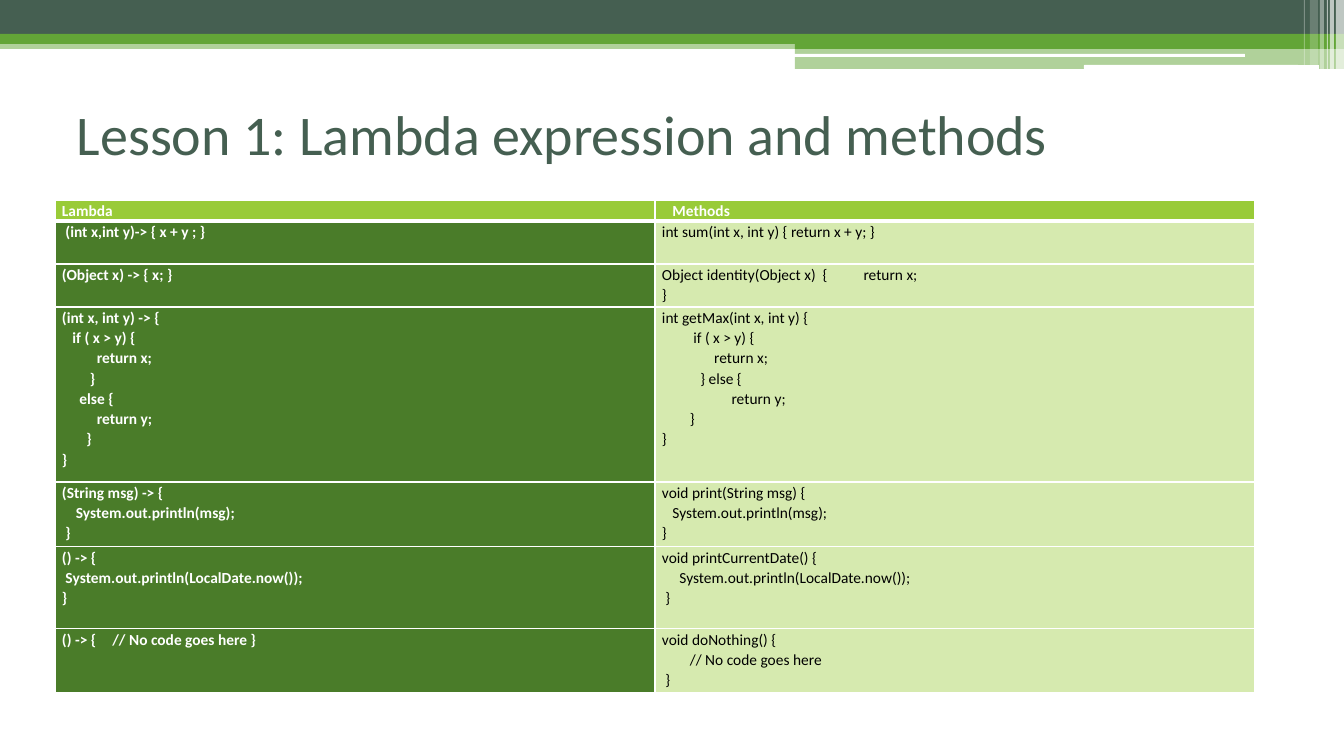
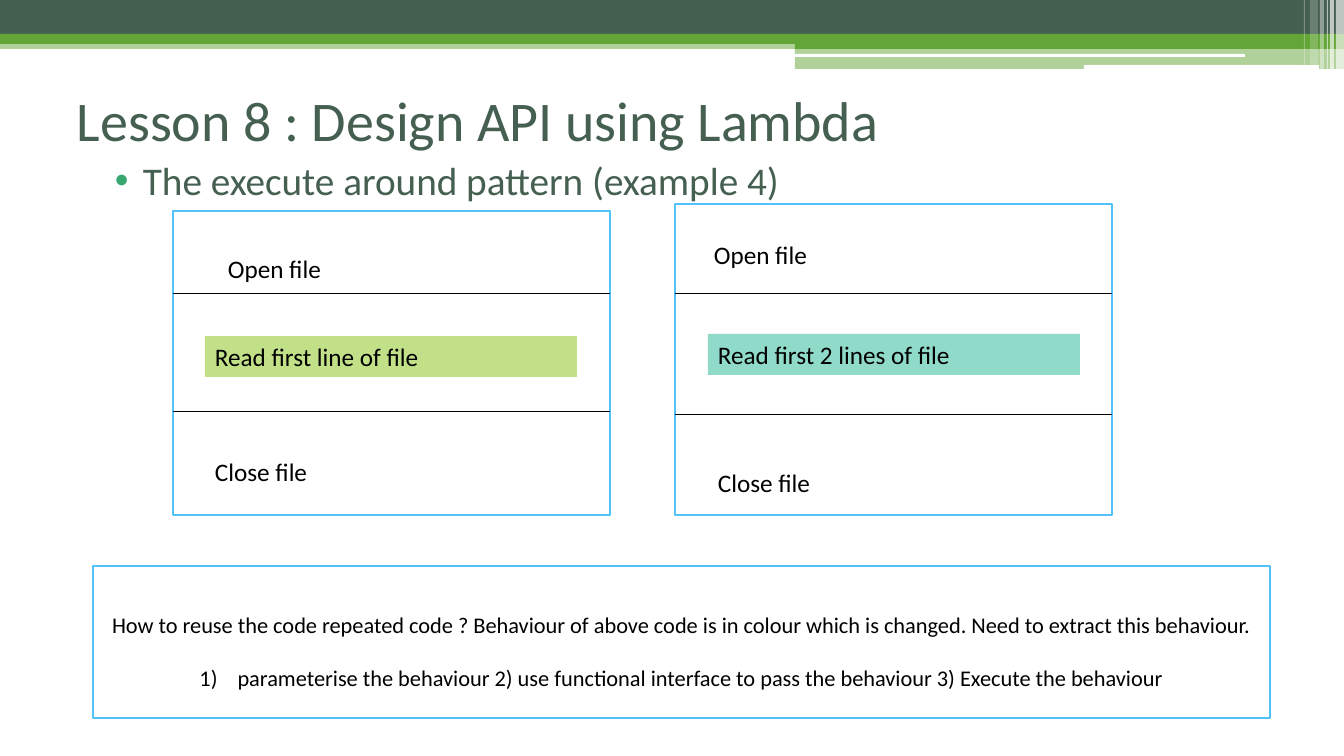
import lxml.etree
import pptx
import pptx.dml.color
import pptx.enum.shapes
import pptx.enum.text
import pptx.oxml.ns
import pptx.util

SCALE = 12192000 / 1344
SHAPE = pptx.enum.shapes.MSO_SHAPE
ALIGN = pptx.enum.text.PP_ALIGN
ANCHOR = pptx.enum.text.MSO_ANCHOR
FONT = "Calibri"
DARK, GREEN, WHITE, BLACK = "455F51", "63A537", "FFFFFF", "000000"
BLUE, MINT, LIME, TEAL = "51C3F9", "37A76F", "C2E088", "8FDAC8"
HEAD, LEFT, RIGHT = "99CB38", "4A7C29", "D6EAAF"
SPACE = 3.48  # width in pixels of one space of code

# left, top, width, height, colour, opacity in percent
BANDS = [
    (0, 40, 1344, 9, GREEN, 50),
    (0, 0, 1344, 34, DARK, 100),
    (0, 34, 1344, 10, GREEN, 100),
    (795, 39, 549, 10, GREEN, 100),
    (795, 49, 549, 20, GREEN, 50),
]
SLOTS = [(794, 54, 451, 3), (1084, 65, 235, 4)]
# left, width, height, opacity in percent
BARS = [
    (1336, 8, 69, 65), (1330, 4, 69, 65), (1327, 1, 69, 60),
    (1320, 4, 69, 40), (1310, 8, 65, 20), (1304, 1, 65, 30),
]

# row height, lambda, method; a tab goes to the stop of its column
CODE = [
    (21, "Lambda", "   Methods"),
    (43, " (int x,int y)-> { x + y ; }",
     "int sum(int x, int y) { return x + y; }"),
    (43, "(Object x) -> { x; }",
     "Object identity(Object x)  {\treturn x;\n}"),
    (175, """(int x, int y) -> {
   if ( x > y) {
          return x;
        }
     else {
          return y;
       }
}""", """int getMax(int x, int y) {
         if ( x > y) {
               return x;
           } else {
                    return y;
        }
}"""),
    (65, "(String msg) -> {\n    System.out.println(msg);\n }",
     "void print(String msg) {\n   System.out.println(msg);\n}"),
    (82, "() -> {\n System.out.println(LocalDate.now());\n}",
     "void printCurrentDate() {\n"
     "     System.out.println(LocalDate.now());\n }"),
    (64, "() -> {\t// No code goes here }",
     "void doNothing() {\n        // No code goes here\n }"),
]
STOPS = (52, 215)


def px(*spans):
    """Turn pixels into a list of EMU lengths."""
    return [pptx.util.Emu(round(span * SCALE)) for span in spans]


def tint(code):
    """Turn a hex string into a colour."""
    return pptx.dml.color.RGBColor.from_string(code)


def assign(target, values):
    """Set each attribute named in a dict."""
    for name, value in values.items():
        setattr(target, name, value)


def node(parent, tag, **values):
    """Add a DrawingML child element."""
    return lxml.etree.SubElement(parent, pptx.oxml.ns.qn("a:" + tag), values)


def write(para, words, size, color=BLACK, bold=False, **layout):
    """Put one styled run into a paragraph."""
    run = para.add_run()
    run.text = words
    assign(run.font, {"name": FONT, "size": pptx.util.Pt(size), "bold": bold})
    run.font.color.rgb = tint(color)
    assign(para, {"alignment": ALIGN.LEFT, **layout})


def indent(para, margin, hang=0):
    """Set the left margin and hanging indent; return the properties."""
    props = para._p.get_or_add_pPr()
    for name, span in (("marL", margin), ("indent", -hang)):
        props.set(name, str(px(span)[0]))
    return props


def box(slide, place, fill, edge=None, fade=100, kind=SHAPE.RECTANGLE):
    """Draw a filled shape, with a thin edge if asked."""
    shape = slide.shapes.add_shape(kind, *px(*place))
    shape.shadow.inherit = False
    shape.fill.solid()
    shape.fill.fore_color.rgb = tint(fill)
    if fade < 100:
        color = next(shape.element.spPr.iter(pptx.oxml.ns.qn("a:srgbClr")))
        node(color, "alpha", val=str(fade * 1000))
    if edge:
        shape.line.color.rgb = tint(edge)
        shape.line.width = pptx.util.Pt(1)
    else:
        shape.line.fill.background()
    return shape


def label(slide, place, words, size=18, color=BLACK, fill=None,
          anchor=ANCHOR.TOP):
    """Add a text box, or a filled box, with one line of text."""
    if fill:
        shape = box(slide, place, fill)
    else:
        shape = slide.shapes.add_textbox(*px(*place))
    frame = shape.text_frame
    assign(frame, {"word_wrap": True, "vertical_anchor": anchor})
    write(frame.paragraphs[0], words, size, color)
    return frame.paragraphs[0]


def rule(slide, left, top, width):
    """Draw a thin level line."""
    line = slide.shapes.add_connector(
        pptx.enum.shapes.MSO_CONNECTOR.STRAIGHT,
        *px(left, top, left + width, top))
    line.line.color.rgb = tint(BLACK)
    line.line.width = pptx.util.Pt(0.5)
    node(line.element.spPr, "effectLst")


def start(deck, title, top, height):
    """Add a slide with the shared bands and a title."""
    slide = deck.slides.add_slide(deck.slide_layouts[6])
    for *place, color, fade in BANDS:
        box(slide, place, color, fade=fade)
    for place in SLOTS:
        box(slide, place, WHITE, kind=SHAPE.ROUNDED_RECTANGLE)
    for left, width, height_bar, fade in BARS:
        box(slide, (left, 0, width, height_bar), WHITE, fade=fade)
    label(slide, (67, top, 1210, height), title, 40, DARK,
          anchor=ANCHOR.MIDDLE)
    return slide


def border(cell, base):
    """Give a cell white borders, with its own base width in points."""
    props = cell._tc.get_or_add_tcPr()
    for side, width in (("L", 1), ("R", 1), ("T", 1), ("B", base)):
        line = node(props, "ln" + side, w=str(pptx.util.Pt(width)))
        node(node(line, "solidFill"), "srgbClr", val=WHITE)


def fill_cell(cell, code, fill, color, bold, stop, base):
    """Style a cell and turn leading spaces of code into indents."""
    border(cell, base)
    cell.fill.solid()
    cell.fill.fore_color.rgb = tint(fill)
    side = px(7)[0]
    assign(cell, {"margin_left": side, "margin_right": side,
                  "margin_top": 0, "margin_bottom": 0})
    for count, line in enumerate(code.split("\n")):
        frame = cell.text_frame
        para = frame.add_paragraph() if count else frame.paragraphs[0]
        words = line.lstrip()
        write(para, words, 11, color, bold, line_spacing=1.07)
        props = indent(para, (len(line) - len(words)) * SPACE)
        if "\t" in words:
            node(node(props, "tabLst"), "tab", pos=str(px(stop)[0]), algn="l")


def grid(slide):
    """Add the table of lambdas and methods."""
    tall = sum(row[0] for row in CODE)
    table = slide.shapes.add_table(
        len(CODE), 2, *px(55, 200, 1200, tall)).table
    for column in table.columns:
        column.width = px(600)[0]
    looks = ((LEFT, WHITE, True), (RIGHT, BLACK, False))
    for row, (height, *codes) in enumerate(CODE):
        table.rows[row].height = px(height)[0]
        for col, code in enumerate(codes):
            look = looks[col] if row else (HEAD, WHITE, True)
            fill_cell(table.cell(row, col), code, *look, STOPS[col],
                      1 if row else 3)


def panel(slide, left, top, rules, steps):
    """Draw a framed box split by rules, with a label in each part."""
    box(slide, (left, top, 437, 515 - top), WHITE, BLUE)
    for level in rules:
        rule(slide, left, level, 437)
    for across, down, words, fill in steps:
        label(slide, (across, down, 372, 41), words, fill=fill)


def question(slide):
    """Add the framed question and its numbered answer."""
    frame = box(slide, (93, 566, 1177, 152), WHITE, BLUE).text_frame
    assign(frame, {"word_wrap": True, "vertical_anchor": ANCHOR.MIDDLE,
                   "margin_top": px(23)[0]})
    write(frame.paragraphs[0],
          "How to reuse the code repeated code ? Behaviour of above code is "
          "in colour which is changed. Need to extract this behaviour.",
          16, alignment=ALIGN.CENTER)
    para = frame.add_paragraph()
    write(para, "parameterise the behaviour 2) use functional interface to "
          "pass the behaviour 3) Execute the behaviour",
          16, alignment=ALIGN.CENTER, space_before=pptx.util.Pt(19))
    node(indent(para, 38, 38), "buAutoNum", type="arabicParenR")


def main():
    """Build both slides and save them."""
    deck = pptx.Presentation()
    deck.slide_width, deck.slide_height = px(1344, 756)

    grid(start(deck, "Lesson 1: Lambda expression and methods", 83, 101))

    slide = start(deck, "Lesson 8 : Design API using Lambda", 78, 82)
    para = label(slide, (93, 151, 1159, 410),
                 "The execute around pattern (example 4)", 28, DARK)
    para.space_before = pptx.util.Pt(3)
    props = indent(para, 40, 28)
    node(node(props, "buClr"), "srgbClr", val=MINT)
    node(props, "buFont", typeface="Arial")
    node(props, "buChar", char="•")
    panel(slide, 173, 211, (293, 411), [
        (205, 336, "Read first line of file", LIME),
        (205, 451, "Close file", None),
        (218, 248, "Open file", None),
    ])
    panel(slide, 675, 204, (293, 414), [
        (704, 234, "Open file", None),
        (708, 334, "Read first 2 lines of file", TEAL),
        (708, 462, "Close file", None),
    ])
    question(slide)
    deck.save("out.pptx")


main()
